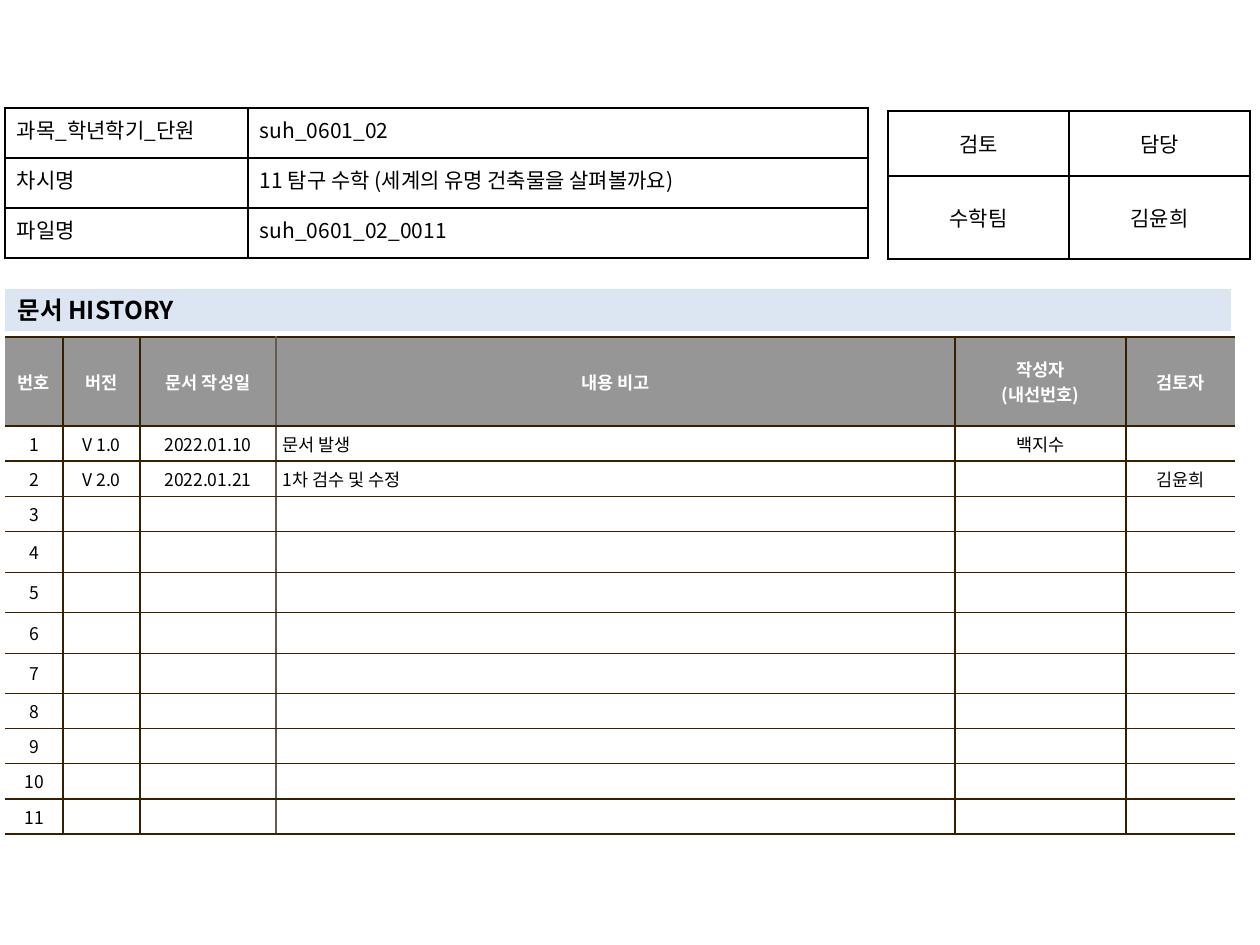
from lxml import etree
from pptx import Presentation
from pptx.dml.color import RGBColor
from pptx.enum.text import MSO_ANCHOR, MSO_AUTO_SIZE, PP_ALIGN
from pptx.oxml.ns import qn
from pptx.util import Pt

PX = 914400 / 126
FONT = "Noto Sans CJK KR"
BLACK = RGBColor(0x00, 0x00, 0x00)
WHITE = RGBColor(0xFF, 0xFF, 0xFF)
GRAY = RGBColor(0x96, 0x96, 0x96)
BROWN = RGBColor(0x36, 0x20, 0x00)
TAUPE = RGBColor(0x64, 0x5B, 0x4C)
PALE_BLUE = RGBColor(0xDC, 0xE6, 0xF2)
LEFT, CENTER, JUSTIFY = PP_ALIGN.LEFT, PP_ALIGN.CENTER, PP_ALIGN.JUSTIFY
TOP, MIDDLE = MSO_ANCHOR.TOP, MSO_ANCHOR.MIDDLE


def write(frame, text, size, color, align, bold=False):
    """Fill a text frame and format every run; an empty one keeps the size."""
    frame.text = text
    for paragraph in frame.paragraphs:
        paragraph.alignment = align
        if not paragraph.runs:
            end = etree.SubElement(paragraph._p, qn("a:endParaRPr"))
            end.set("sz", str(size * 100))
        for run in paragraph.runs:
            run.font.size = Pt(size)
            run.font.bold = bold
            run.font.name = FONT
            run.font.color.rgb = color
            east_asian = etree.SubElement(run._r.get_or_add_rPr(), qn("a:ea"))
            east_asian.set("typeface", FONT)


def add_grid(left, top, widths, heights, margins, line_colors):
    """Add a table; line_colors holds one colour per vertical line, then one for
    all horizontal lines. None means no line."""
    grid = slide.shapes.add_table(
        len(heights), len(widths), round(left * PX), round(top * PX),
        round(sum(widths) * PX), round(sum(heights) * PX)).table
    grid.first_row = grid.horz_banding = False
    for column, width in zip(grid.columns, widths):
        column.width = round(width * PX)
    for row, height in zip(grid.rows, heights):
        row.height = round(height * PX)
        for c, cell in enumerate(row.cells):
            cell.margin_left = cell.margin_right = round(margins[0] * PX)
            cell.margin_top = cell.margin_bottom = round(margins[1] * PX)
            sides = {"a:lnL": line_colors[c], "a:lnR": line_colors[c + 1],
                     "a:lnT": line_colors[-1], "a:lnB": line_colors[-1]}
            for tag, color in sides.items():
                line = etree.SubElement(cell._tc.get_or_add_tcPr(), qn(tag), w=str(Pt(1)))
                if color is None:
                    etree.SubElement(line, qn("a:noFill"))
                else:
                    fill = etree.SubElement(line, qn("a:solidFill"))
                    etree.SubElement(fill, qn("a:srgbClr"), val=str(color))
            cell.fill.background()
    return grid


prs = Presentation()
prs.slide_width = round(1260 * PX)
prs.slide_height = round(945 * PX)
slide = prs.slides.add_slide(prs.slide_layouts[5])

# Document history
headers = ["번호", "버전", "문서 작성일", "내용 비고", "작성자\n(내선번호)", "검토자"]
entries = [
    ["V 1.0", "2022.01.10", "문서 발생", "백지수", ""],
    ["V 2.0", "2022.01.21", "1차 검수 및 수정", "", "김윤희"],
]
entries += [[""] * 5 for _ in range(9)]
history_rows = [headers] + [[str(n)] + entry for n, entry in enumerate(entries, 1)]
history = add_grid(
    5, 337, [58, 77, 136, 679, 171, 109],
    [89] + [35] * 3 + [41, 40] * 2 + [35] * 4, (7, 5),
    [None, BROWN, BROWN, TAUPE, BROWN, BROWN, None, BROWN])
for r, texts in enumerate(history_rows):
    is_header = r == 0
    for c, text in enumerate(texts):
        cell = history.cell(r, c)
        cell.vertical_anchor = MIDDLE
        cell.fill.solid()
        cell.fill.fore_color.rgb = GRAY if is_header else WHITE
        align = LEFT if c == 3 and not is_header else CENTER
        write(cell.text_frame, text, 10, WHITE if is_header else BLACK, align, is_header)

# Review sign-off
review_rows = [["검토", "담당"], ["수학팀", "김윤희"]]
review = add_grid(888, 111, [181, 181], [65, 83], (12, 6), [BLACK] * 4)
for r, texts in enumerate(review_rows):
    for c, text in enumerate(texts):
        cell = review.cell(r, c)
        cell.vertical_anchor = MIDDLE
        write(cell.text_frame, text, 12, BLACK, CENTER)

# Section heading
heading = slide.shapes.title
heading.left, heading.top = round(5 * PX), round(289 * PX)
heading.width, heading.height = round(1226 * PX), round(42 * PX)
heading.fill.solid()
heading.fill.fore_color.rgb = PALE_BLUE
heading.text_frame.auto_size = MSO_AUTO_SIZE.NONE
heading.text_frame.vertical_anchor = MIDDLE
write(heading.text_frame, "문서 HISTORY", 14, BLACK, LEFT, True)

# Lesson details
lesson_rows = [
    ["과목_학년학기_단원", "suh_0601_02"],
    ["차시명", "11 탐구 수학 (세계의 유명 건축물을 살펴볼까요)"],
    ["파일명", "suh_0601_02_0011"],
]
lesson = add_grid(5, 108, [243, 620], [50] * 3, (12, 6), [BLACK] * 4)
for r, texts in enumerate(lesson_rows):
    for c, text in enumerate(texts):
        cell = lesson.cell(r, c)
        cell.vertical_anchor = TOP
        write(cell.text_frame, text, 12, BLACK, JUSTIFY if c == 0 else LEFT)

prs.save("out.pptx")
